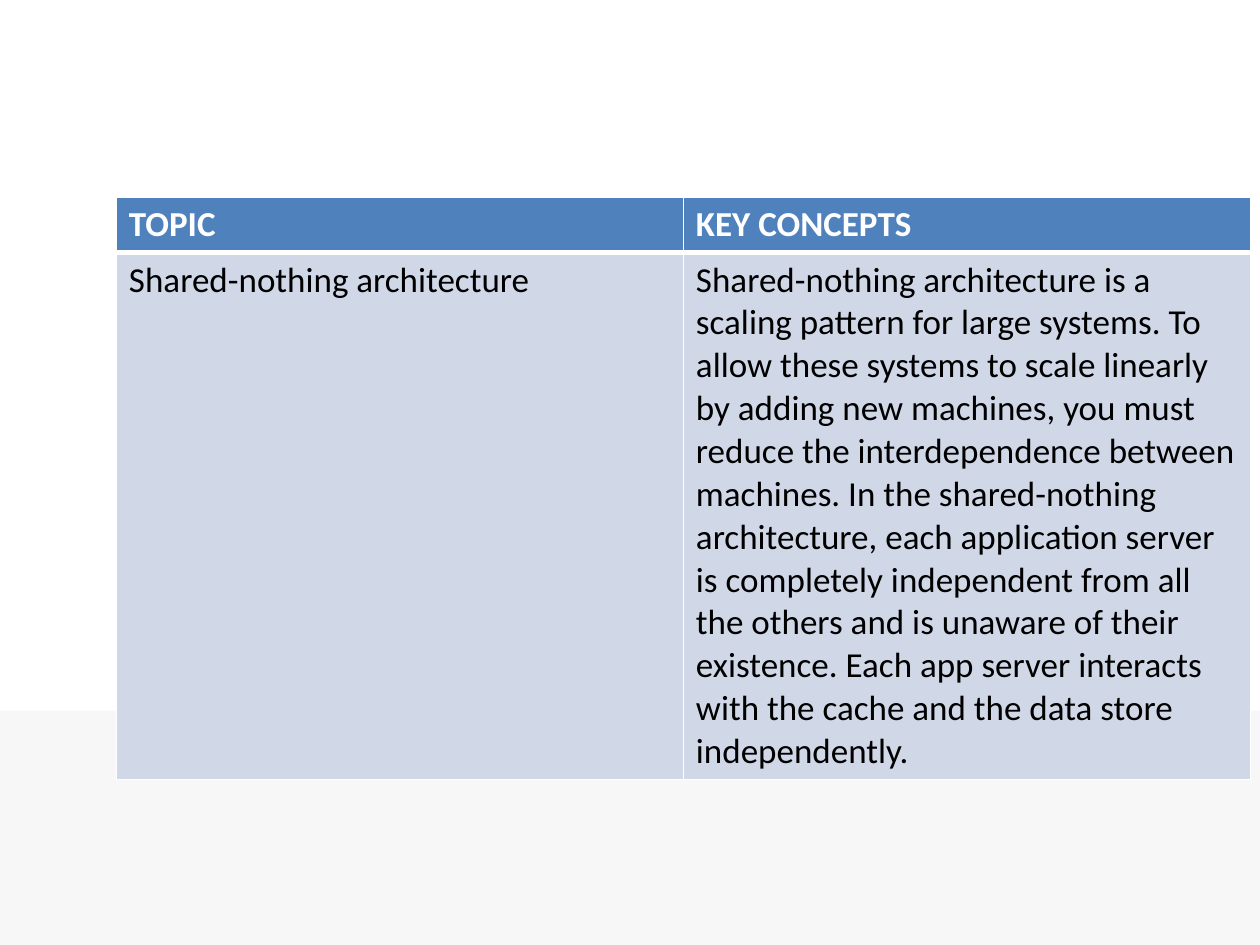
from lxml import etree
from pptx import Presentation
from pptx.dml.color import RGBColor
from pptx.enum import shapes
from pptx.oxml.ns import qn
from pptx.util import Pt

WHITE = RGBColor(0xFF, 0xFF, 0xFF)
BLACK = RGBColor(0x00, 0x00, 0x00)
BAND_GREY = RGBColor(0xF7, 0xF7, 0xF7)
HEADER_BLUE = RGBColor(0x4F, 0x81, 0xBD)
BODY_BLUE = RGBColor(0xD0, 0xD8, 0xE8)

ROWS = [
    ("TOPIC", "KEY CONCEPTS"),
    ("Shared-nothing architecture",
     "Shared-nothing architecture is a scaling pattern for large systems. "
     "To allow these systems to scale linearly by adding new machines, you "
     "must reduce the interdependence between machines. In the shared-nothing "
     "architecture, each application server is completely independent from "
     "all the others and is unaware of their existence. Each app server "
     "interacts with the cache and the data store independently."),
]


def add_band(slide, left, top, width, height):
    sp = slide.shapes.add_shape(shapes.MSO_SHAPE.RECTANGLE,
                                Pt(left), Pt(top), Pt(width), Pt(height))
    sp.shadow.inherit = False
    sp.fill.solid()
    sp.fill.fore_color.rgb = BAND_GREY
    sp.line.fill.background()


def set_borders(cell, **widths):
    """Draw white borders; widths are in points, keyed L, R, T and B."""
    tc_pr = cell._tc.get_or_add_tcPr()
    for side, width in widths.items():
        ln = etree.SubElement(tc_pr, qn(f"a:ln{side}"), w=str(Pt(width)))
        fill = etree.SubElement(ln, qn("a:solidFill"))
        etree.SubElement(fill, qn("a:srgbClr"), val=str(WHITE))


def fill_cell(cell, content, is_header):
    set_borders(cell, L=1, R=1, T=1 if is_header else 3, B=3 if is_header else 1)
    cell.fill.solid()
    cell.fill.fore_color.rgb = HEADER_BLUE if is_header else BODY_BLUE
    r = cell.text_frame.paragraphs[0].add_run()
    r.text = content
    r.font.name = "Calibri"
    r.font.size = Pt(20)
    r.font.bold = is_header
    r.font.color.rgb = WHITE if is_header else BLACK


def add_topic_table(slide, left, top, width, height):
    frame = slide.shapes.add_table(len(ROWS), len(ROWS[0]),
                                   Pt(left), Pt(top), Pt(width), Pt(height))
    table = frame.table
    for i, row in enumerate(ROWS):
        table.rows[i].height = Pt(29.2)  # grows to fit the text
        for j, content in enumerate(row):
            fill_cell(table.cell(i, j), content, is_header=i == 0)


def main():
    prs = Presentation()
    prs.slide_width, prs.slide_height = Pt(720), Pt(540)
    slide = prs.slides.add_slide(prs.slide_layouts[6])
    slide.background.fill.solid()
    slide.background.fill.fore_color.rgb = WHITE
    add_band(slide, 0, 406, 720, 134)
    add_topic_table(slide, 66.5, 112.5, 648, 326)
    prs.save("out.pptx")


if __name__ == "__main__":
    main()
